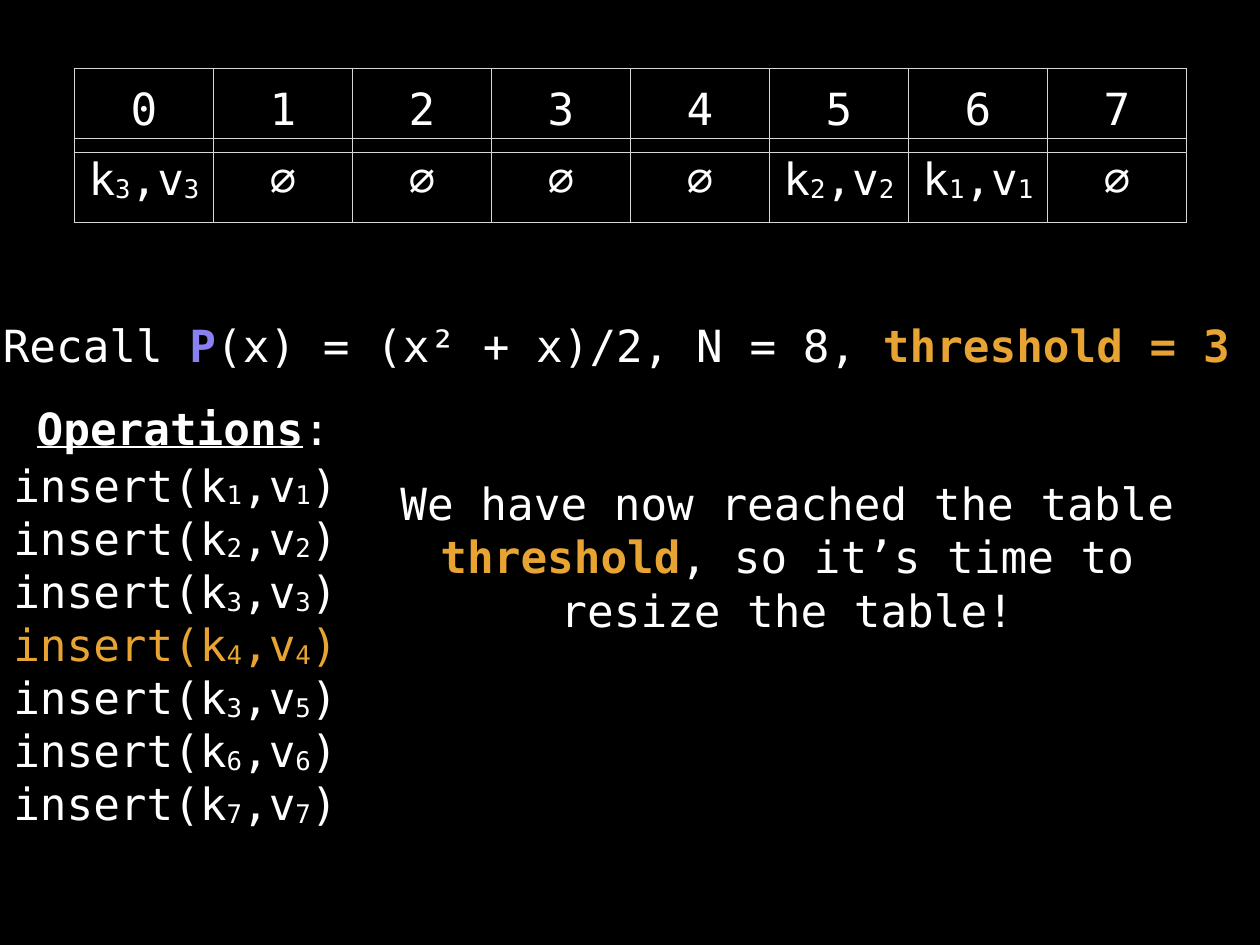
"""Build the hash table slide that reaches its resize threshold."""
from lxml.etree import SubElement as Sub
from pptx import Presentation
from pptx.dml.color import RGBColor as RGB
from pptx.enum.text import MSO_ANCHOR as Anchor, MSO_AUTO_SIZE as Fit, PP_ALIGN as Align
from pptx.oxml import parse_xml
from pptx.oxml.ns import nsdecls, qn
from pptx.util import Inches, Pt

BLACK = RGB(0x00, 0x00, 0x00)
WHITE = RGB(0xFF, 0xFF, 0xFF)
GRAY = RGB(0xD6, 0xD6, 0xD6)
GOLD = RGB(0xE8, 0xA4, 0x32)
VIOLET = RGB(0x89, 0x81, 0xF0)
FACE = "DejaVu Sans Mono"
WIDE, HIGH = Inches(14.22), Inches(10.67)
PAD = Inches(0.06)
SUBSCRIPT = -6000
SLOTS = {0: 3, 5: 2, 6: 1}
CALLS = [(1, 1), (2, 2), (3, 3), (4, 4), (3, 5), (6, 6), (7, 7)]


def share(x, y, w, h):
    """Turn percentages of the slide into lengths."""
    return [int(side * part / 100) for side, part in zip((WIDE, HIGH) * 2, (x, y, w, h))]


def write(para, text, color=WHITE, bold=False, under=False, base=0):
    """Add one run of formatted text to a paragraph."""
    run = para.add_run()
    run.text = text
    font = run.font
    font.name, font.size = FACE, Pt(36)
    font.bold, font.underline = bold, under
    font.color.rgb = color
    if base:
        run._r.get_or_add_rPr().set("baseline", str(base))


def pair(para, key, val, color=WHITE):
    """Write a key and a value with their subscripts."""
    for text, base in (("k", 0), (key, SUBSCRIPT), (",v", 0), (val, SUBSCRIPT)):
        write(para, str(text), color=color, base=base)


def inset(item):
    """Give a frame or a cell its margins."""
    item.margin_left = item.margin_right = item.margin_top = item.margin_bottom = PAD


def setup(shape, box, anchor=Anchor.MIDDLE):
    """Place a text shape and return its first paragraph, centred."""
    shape.left, shape.top, shape.width, shape.height = box
    frame = shape.text_frame
    frame.word_wrap, frame.auto_size = True, Fit.NONE
    frame.vertical_anchor = anchor
    inset(frame)
    para = frame.paragraphs[0]
    para.alignment = Align.CENTER
    return para


def label(slide, box):
    """Add a text box and return its paragraph."""
    return setup(slide.shapes.add_textbox(*box), box)


def edge(cell):
    """Draw thin lines on the four sides of a cell."""
    props = cell._tc.get_or_add_tcPr()
    for spot, side in enumerate("LRTB"):
        props.insert(spot, parse_xml(
            f'<a:ln{side} {nsdecls("a")} w="{Pt(1)}"><a:solidFill>'
            f'<a:srgbClr val="{GRAY}"/></a:solidFill></a:ln{side}>'))


def row(slide, top, fill):
    """Add a table of eight slots, each written by the fill function."""
    table = slide.shapes.add_table(1, 8, *share(5.91, top, 88.26, 8.9)).table
    table.first_row = table.horz_banding = False
    for slot, cell in enumerate(table.rows[0].cells):
        cell.fill.background()
        edge(cell)
        inset(cell)
        cell.vertical_anchor = Anchor.MIDDLE
        para = cell.text_frame.paragraphs[0]
        para.alignment = Align.CENTER
        fill(para, slot)


def entry(para, slot):
    """Write the content of one slot."""
    if slot in SLOTS:
        pair(para, SLOTS[slot], SLOTS[slot])
    else:
        write(para, "∅")


def steps(body):
    """List the insert calls, with the current one in gold."""
    para = setup(body, share(0.63, 47.89, 29.11, 38.43), Anchor.TOP)
    for spot, (key, val) in enumerate(CALLS):
        if spot:
            para = body.text_frame.add_paragraph()
        para.alignment, para.space_before = Align.LEFT, Pt(0)
        props = para._p.get_or_add_pPr()
        props.set("marL", "0")
        props.set("indent", "0")
        Sub(props, qn("a:buNone"))
        color = GOLD if key == 4 else WHITE
        write(para, "insert(", color=color)
        pair(para, key, val, color=color)
        write(para, ")", color=color)


def main():
    """Build and save the slide."""
    deck = Presentation()
    deck.slide_width, deck.slide_height = WIDE, HIGH
    slide = deck.slides.add_slide(deck.slide_layouts[1])
    back = slide.background.fill
    back.solid()
    back.fore_color.rgb = BLACK

    row(slide, 14.62, entry)
    row(slide, 7.22, lambda para, slot: write(para, str(slot)))

    head = setup(slide.shapes.title, share(2.46, 42.08, 24.19, 6.37))
    write(head, "Operations", bold=True, under=True)
    write(head, ":")
    steps(slide.placeholders[1])

    rule = label(slide, share(-4.85, 33.27, 109.63, 6.37))
    write(rule, "Recall ")
    write(rule, "P", color=VIOLET, bold=True)
    write(rule, "(x) = (x² + x)/2, N = 8, ")
    write(rule, "threshold = 3 ", color=GOLD, bold=True)

    note = label(slide, share(30.45, 50.33, 64.06, 17.06))
    write(note, "We have now reached the table ")
    write(note, "threshold", color=GOLD, bold=True)
    write(note, ", so it’s time to resize the table!")
    deck.save("out.pptx")


if __name__ == "__main__":
    main()
